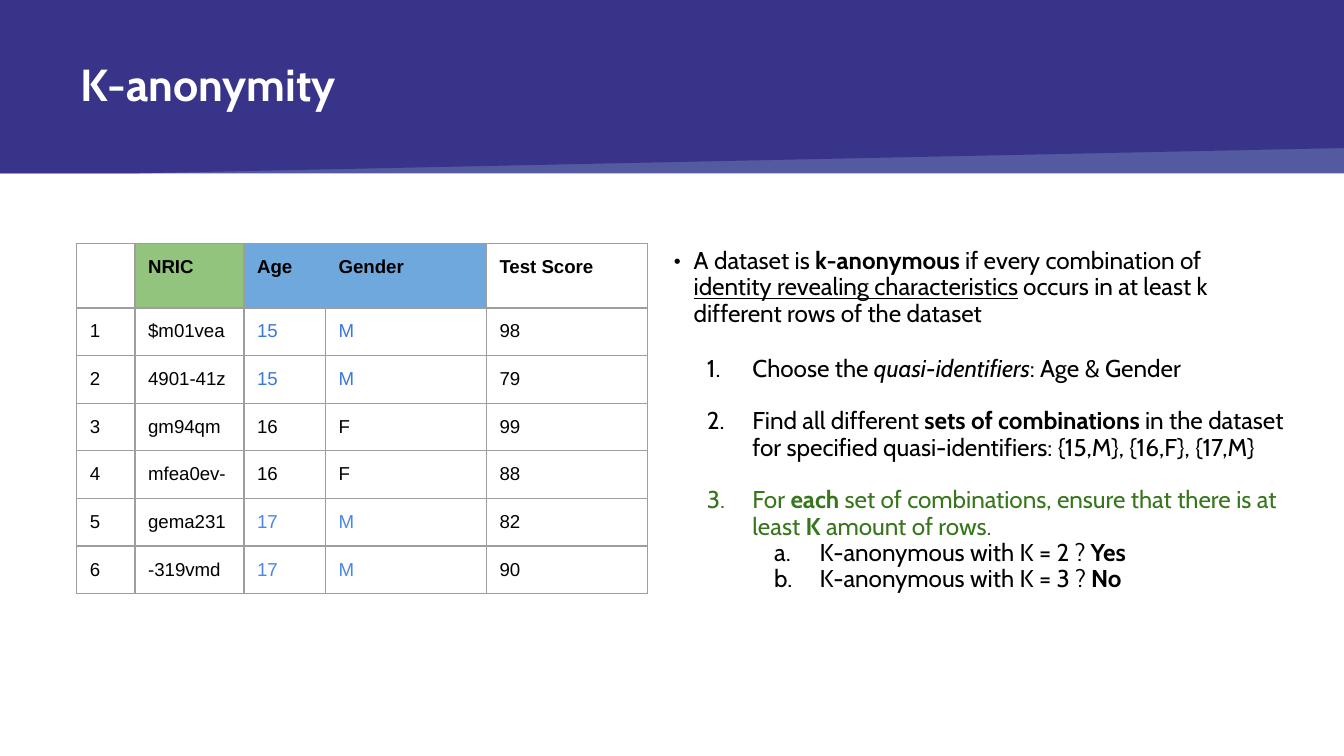
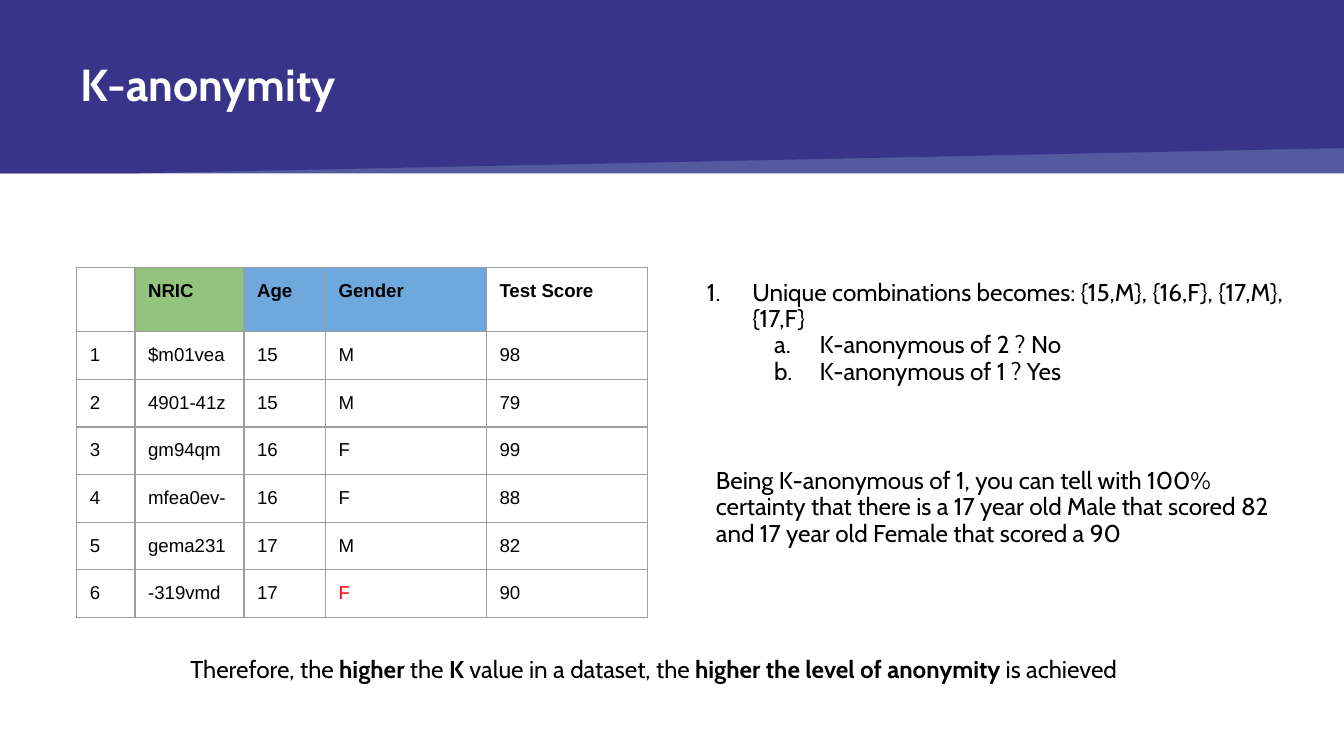
from lxml import etree
from pptx import Presentation, util as u
from pptx.dml.color import RGBColor
from pptx.enum import shapes, text
from pptx.oxml.ns import qn

HUES = {
    "light": "535AA0", "dark": "2F2883", "white": "FFFFFF", "black": "000000",
    "line": "9E9E9E", "green": "93C47D", "blue": "6FA8DC", "lake": "3C78D8",
    "sky": "4A86E8", "red": "FF0000", "leaf": "38761D",
}
WIDE, HIGH, BAND = u.Cm(25.4), u.Cm(14.29), u.Cm(3.28)
FRAME = {"word_wrap": True, "auto_size": text.MSO_AUTO_SIZE.NONE,
         "vertical_anchor": text.MSO_ANCHOR.TOP,
         **{"margin_" + side: u.Cm(0.25) for side in ("left", "right", "top", "bottom")}}
TITLE = {**FRAME, "vertical_anchor": text.MSO_ANCHOR.MIDDLE}
BODY = {"name": "Cabin", "size": u.Pt(13)}
CELL = {"name": "Arial", "size": u.Pt(10)}
HEAD = {"name": "Cabin", "size": u.Pt(24), "bold": True}
MARKS = {"b": "bold", "i": "italic", "u": "underline"}

# kind: (level, left margin, first-line indent, bullet tag, bullet attributes)
KINDS = {
    "plain": (0, 0, 0, "a:buNone", {}),
    "dot": (0, 0.64, -0.38, "a:buChar", {"char": "•"}),
    "num": (0, 1.27, -0.86, "a:buAutoNum", {"type": "arabicPeriod"}),
    "sub": (1, 2.54, -0.86, "a:buAutoNum", {"type": "alphaLcPeriod"}),
}


def style(item, values, hue=None):
    for name, value in values.items():
        setattr(item, name, value)
    if hue:
        item.color.rgb = RGBColor.from_string(HUES[hue])


def write(box, spot, paras):
    """Place a text box and fill it with (kind, space before, hue, runs) paragraphs."""
    box.left, box.top, box.width, box.height = map(u.Cm, spot)
    frame = box.text_frame
    style(frame, FRAME)
    for n, (kind, gap, hue, runs) in enumerate(paras):
        para = frame.add_paragraph() if n else frame.paragraphs[0]
        level, left, hang, tag, attrs = KINDS[kind]
        style(para, {"level": level, "line_spacing": 0.9, "space_before": u.Pt(gap),
                     "alignment": text.PP_ALIGN.LEFT})
        props = para._p.get_or_add_pPr()
        props.set("marL", str(u.Cm(left)))
        props.set("indent", str(u.Cm(hang)))
        if kind != "plain":
            tint = etree.SubElement(props, qn("a:buClr"))
            etree.SubElement(tint, qn("a:srgbClr"), val=HUES[hue])
            etree.SubElement(props, qn("a:buFont"), typeface=BODY["name"])
        etree.SubElement(props, qn(tag), attrs)
        for words, *marks in runs:
            run = para.add_run()
            run.text = words
            style(run.font, {**BODY, **{MARKS[m]: True for m in marks}}, hue)


COLS = [1.1, 2.06, 1.54, 3.04, 3.04]
FILLS = ["white", "green", "blue", "blue", "white"]
ROWS = [
    ["", "NRIC", "Age", "Gender", "Test Score"],
    ["1", "$m01vea", "15", "M", "98"],
    ["2", "4901-41z", "15", "M", "79"],
    ["3", "gm94qm", "16", "F", "99"],
    ["4", "mfea0ev-", "16", "F", "88"],
    ["5", "gema231", "17", "M", "82"],
    ["6", "-319vmd", "17", "M", "90"],
]
PAIRS = {1: "lake", 2: "lake", 5: "sky", 6: "sky"}

PAGES = [
    {
        "top": 4.6,
        "rows": ROWS,
        "tints": {(r, c): hue for r, hue in PAIRS.items() for c in (2, 3)},
        "texts": [
            ((12.22, 4.45, 12.19, 2), [
                ("dot", 0, "black", [
                    ("A dataset is ",), ("k-anonymous", "b"),
                    (" if every combination of ",),
                    ("identity revealing characteristics", "u"),
                    (" occurs in at least k different rows of the dataset",)]),
            ]),
            ((12.7, 6.48, 12.19, 5), [
                ("num", 0, "black", [
                    ("Choose the ",), ("quasi-identifiers", "i"), (": Age & Gender",)]),
                ("num", 14.2, "black", [
                    ("Find all different ",), ("sets of combinations ", "b"),
                    ("in the dataset for specified quasi-identifiers: "
                     "{15,M}, {16,F}, {17,M}",)]),
                ("num", 14.2, "leaf", [
                    ("For ",), ("each", "b"),
                    (" set of combinations, ensure that there is at least ",),
                    ("K", "b"), (" amount of rows.",)]),
                ("sub", 0, "black", [("K-anonymous with K = 2 ? ",), ("Yes", "b")]),
                ("sub", 0, "black", [("K-anonymous with K = 3 ? ",), ("No", "b")]),
            ]),
        ],
    },
    {
        "top": 5.05,
        "rows": ROWS[:-1] + [["6", "-319vmd", "17", "F", "90"]],
        "tints": {(6, 3): "red"},
        "texts": [
            ((12.7, 5.05, 12.19, 2.51), [
                ("num", 0, "black", [
                    ("Unique combinations becomes: {15,M}, {16,F}, {17,M}, {17,F}",)]),
                ("sub", 0, "black", [("K-anonymous of 2 ? No",)]),
                ("sub", 0, "black", [("K-anonymous of 1 ? Yes",)]),
            ]),
            ((13.28, 8.61, 11.46, 2), [
                ("plain", 0, "black", [
                    ("Being K-anonymous of 1, you can tell with 100% certainty that "
                     "there is a 17 year old Male that scored 82 and 17 year old "
                     "Female that scored a 90",)]),
            ]),
            ((3.35, 12.17, 18.69, 1.02), [
                ("plain", 0, "black", [
                    ("Therefore, the ",), ("higher", "b"), (" the ",), ("K", "b"),
                    (" value in a dataset, the ",),
                    ("higher the level of anonymity", "b"), (" is achieved",)]),
            ]),
        ],
    },
]

prs = Presentation()
prs.slide_width, prs.slide_height = WIDE, HIGH

for num, page in enumerate(PAGES):
    slide = prs.slides.add_slide(prs.slide_layouts[3])

    # The band is drawn once and moved to the master, behind everything else
    if num == 0:
        base = slide.shapes.add_shape(shapes.MSO_SHAPE.RECTANGLE, 0, 0, WIDE, BAND)
        pen = slide.shapes.build_freeform(0, 0, scale=1.0)
        pen.add_line_segments([(WIDE, 0), (WIDE, u.Cm(2.8)), (u.Cm(2.44), BAND), (0, BAND)])
        slope = pen.convert_to_shape()
        for at, (part, hue) in enumerate([(base, "light"), (slope, "dark")]):
            part.shadow.inherit = False
            part.fill.solid()
            part.fill.fore_color.rgb = RGBColor.from_string(HUES[hue])
            part.line.fill.background()
            prs.slide_master.shapes._spTree.insert(2 + at, part._element)
        shade = slope._element.spPr.find(".//" + qn("a:srgbClr"))
        etree.SubElement(shade, qn("a:alpha"), val="75000")

    title = slide.shapes.title
    title.left, title.top, title.width, title.height = map(u.Cm, (1.27, 0.66, 22.76, 1.98))
    title.text = "K-anonymity"
    style(title.text_frame, {**TITLE, "margin_top": u.Cm(0.13), "margin_bottom": u.Cm(0.13)})
    para = title.text_frame.paragraphs[0]
    style(para, {"alignment": text.PP_ALIGN.LEFT, "line_spacing": 0.9})
    style(para.runs[0].font, HEAD, "white")

    grid = slide.shapes.add_table(len(ROWS), len(COLS), u.Cm(1.45), u.Cm(page["top"]),
                                  u.Cm(sum(COLS)), u.Cm(6.62)).table
    style(grid, {"first_row": False, "horz_banding": False})
    for col, width in zip(grid.columns, COLS):
        col.width = u.Cm(width)
    for r, row in enumerate(page["rows"]):
        grid.rows[r].height = u.Cm(0.9 if r else 1.22)
        for c, words in enumerate(row):
            cell = grid.cell(r, c)
            cell.text = words
            style(cell, {k: v for k, v in FRAME.items() if k.startswith("margin")})
            style(cell.text_frame.paragraphs[0].font, {**CELL, "bold": r == 0},
                  page["tints"].get((r, c), "black"))
            cell.fill.solid()
            fill = "white" if r else FILLS[c]
            cell.fill.fore_color.rgb = RGBColor.from_string(HUES[fill])
            props = cell._tc.get_or_add_tcPr()
            for at, side in enumerate("LRTB"):
                edge = etree.Element(qn("a:ln" + side), w=str(u.Pt(0.75)))
                ink = etree.SubElement(edge, qn("a:solidFill"))
                etree.SubElement(ink, qn("a:srgbClr"), val=HUES["line"])
                props.insert(at, edge)

    slots = list(slide.placeholders)[1:]
    for n, (spot, paras) in enumerate(page["texts"]):
        box = slots[n] if n < len(slots) else slide.shapes.add_textbox(0, 0, 0, 0)
        write(box, spot, paras)

prs.save("out.pptx")
